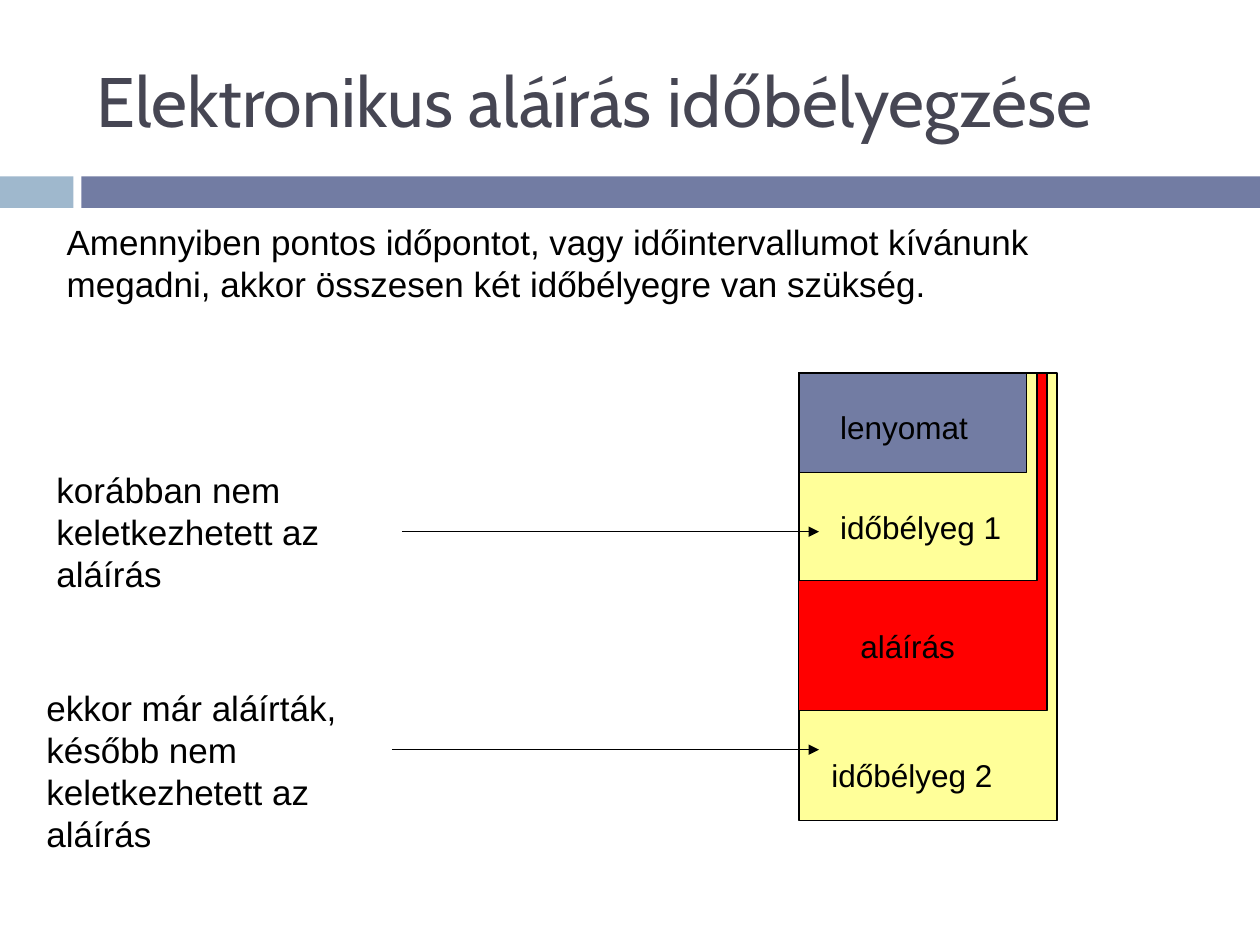
from dataclasses import dataclass

from lxml.etree import SubElement
from pptx import Presentation
from pptx.dml.color import RGBColor
from pptx.enum.shapes import MSO_CONNECTOR as Connector, MSO_SHAPE as Preset
from pptx.enum.text import MSO_ANCHOR as Anchor
from pptx.oxml.ns import qn
from pptx.util import Pt


@dataclass(frozen=True)
class Theme:
    black: str = "000000"
    title_color: str = "464653"
    accent: str = "727CA3"
    light_accent: str = "9FB8CD"
    stamp: str = "FFFF99"
    signature: str = "FF0000"
    title_font: str = "Cabin"
    body_font: str = "Arial"
    title_size: float = 40
    body_size: float = 20
    label_size: float = 18
    line_width: float = 0.75


THEME = Theme()


@dataclass(frozen=True)
class Box:
    left: float
    top: float
    width: float
    height: float
    fill: str
    outlined: bool = False


@dataclass(frozen=True)
class Text:
    words: str
    left: float
    top: float
    width: float
    height: float
    size: float = THEME.body_size
    font: str = THEME.body_font
    color: str = THEME.black
    anchor: Anchor = Anchor.TOP


@dataclass(frozen=True)
class Arrow:
    start: float
    end: float
    level: float


def draw_box(shapes, box: Box) -> None:
    shape = shapes.add_shape(Preset.RECTANGLE, Pt(box.left), Pt(box.top),
                             Pt(box.width), Pt(box.height))
    shape.shadow.inherit = False
    shape.fill.solid()
    shape.fill.fore_color.rgb = RGBColor.from_string(box.fill)
    if box.outlined:
        shape.line.color.rgb = RGBColor.from_string(THEME.black)
        shape.line.width = Pt(THEME.line_width)
    else:
        shape.line.fill.background()


def draw_text(shapes, text: Text) -> None:
    shape = shapes.add_textbox(Pt(text.left), Pt(text.top),
                               Pt(text.width), Pt(text.height))
    frame = shape.text_frame
    frame.word_wrap = True
    frame.vertical_anchor = text.anchor
    run = frame.paragraphs[0].add_run()
    run.text = text.words
    for name, value in {"name": text.font, "size": Pt(text.size)}.items():
        setattr(run.font, name, value)
    run.font.color.rgb = RGBColor.from_string(text.color)


def draw_arrow(shapes, arrow: Arrow) -> None:
    connector = shapes.add_connector(Connector.STRAIGHT, Pt(arrow.start), Pt(arrow.level),
                                     Pt(arrow.end), Pt(arrow.level))
    connector.line.color.rgb = RGBColor.from_string(THEME.black)
    connector.line.width = Pt(THEME.line_width)
    SubElement(connector.line._get_or_add_ln(), qn("a:tailEnd"), type="triangle")
    SubElement(connector._element.spPr, qn("a:effectLst"))


# Header bars and title
BARS = [
    Box(0, 100.8, 42, 18, THEME.light_accent),
    Box(46.5, 100.8, 673.5, 18, THEME.accent),
]
TITLE = Text("Elektronikus aláírás időbélyegzése", 48.24, 18, 642.24, 77.76,
             THEME.title_size, THEME.title_font, THEME.title_color, Anchor.MIDDLE)

# Nested layers share the top left corner; each is narrower by one step
STACK_LEFT, STACK_TOP, STACK_WIDTH, STEP = 456.5, 213.1, 147.6, 5.76
LAYERS = [(255.6, THEME.stamp), (193, THEME.signature),
          (118.8, THEME.stamp), (56.9, THEME.accent)]
LABELS = [
    Text("lenyomat", 473, 229.7, 90.7, 28.8, THEME.label_size),
    Text("időbélyeg 1", 473, 286.6, 113, 28.8, THEME.label_size),
    Text("aláírás", 484.6, 355, 79.2, 28.8, THEME.label_size),
    Text("időbélyeg 2", 468, 428.4, 107.3, 28.8, THEME.label_size),
]

# Explanations and their arrows
NOTES = [
    Text("Amennyiben pontos időpontot, vagy időintervallumot kívánunk megadni, "
         "akkor összesen két időbélyegre van szükség.", 31, 122.4, 652.3, 55.4),
    Text("korábban nem keletkezhetett az aláírás", 25.2, 264.2, 187.2, 79.2),
    Text("ekkor már aláírták, később nem keletkezhetett az aláírás",
         19.4, 388.8, 221, 103),
]
ARROWS = [Arrow(229.7, 468, 303.8), Arrow(223.9, 468, 428.4)]


def main() -> None:
    presentation = Presentation()
    presentation.slide_width, presentation.slide_height = Pt(720), Pt(540)
    slide = presentation.slides.add_slide(presentation.slide_layouts[6])
    shapes = slide.shapes

    for bar in BARS:
        draw_box(shapes, bar)
    draw_text(shapes, TITLE)

    # Stack of layers with labels
    stack = shapes.add_group_shape().shapes
    for index, (height, fill) in enumerate(LAYERS):
        draw_box(stack, Box(STACK_LEFT, STACK_TOP, STACK_WIDTH - index * STEP,
                            height, fill, outlined=True))
    for label in LABELS:
        draw_text(stack, label)

    for arrow in ARROWS:
        draw_arrow(shapes, arrow)
    for note in NOTES:
        draw_text(shapes, note)

    presentation.save("out.pptx")


if __name__ == "__main__":
    main()
